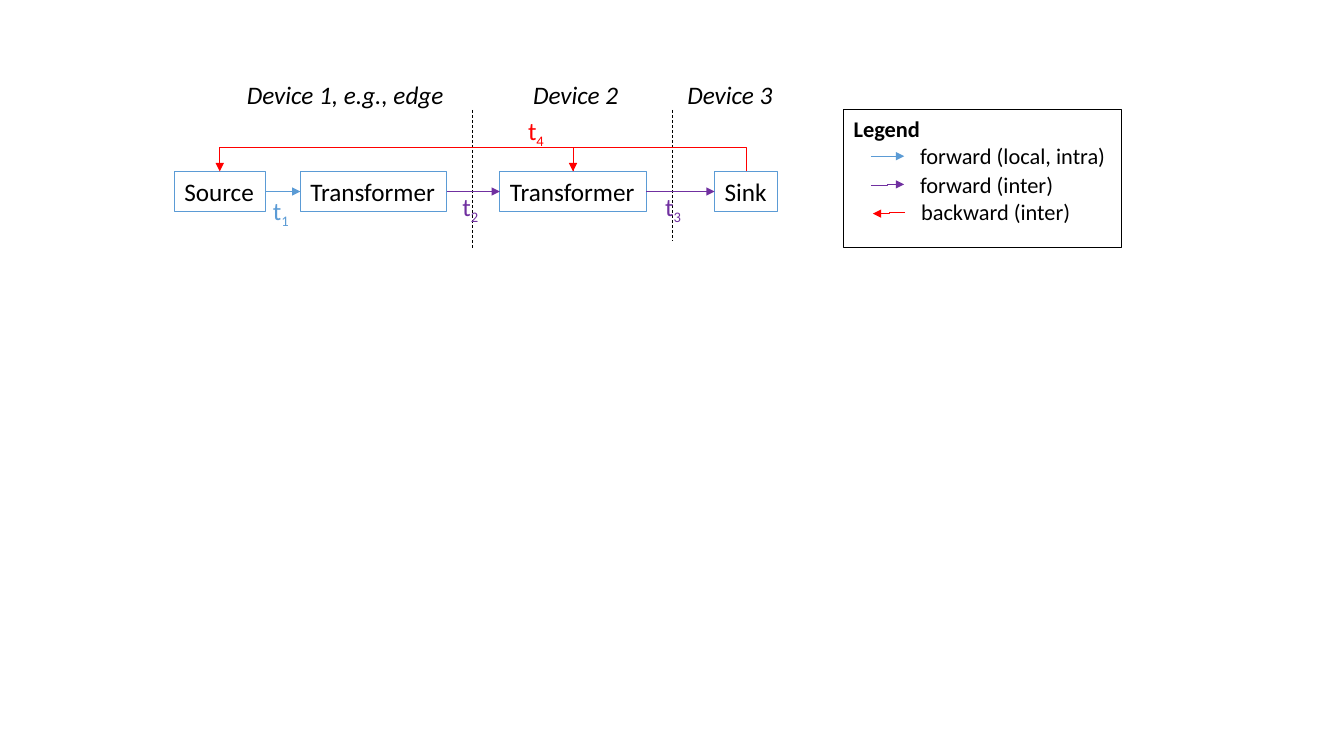
from dataclasses import dataclass
from itertools import pairwise

from lxml import etree
from pptx import Presentation
from pptx.dml.color import RGBColor
from pptx.enum.dml import MSO_LINE
from pptx.enum.shapes import MSO_CONNECTOR, MSO_SHAPE
from pptx.enum.text import MSO_ANCHOR, MSO_AUTO_SIZE, PP_ALIGN
from pptx.oxml.ns import qn
from pptx.util import Inches, Pt

BLACK = RGBColor(0x00, 0x00, 0x00)
BLUE = RGBColor(0x5B, 0x9B, 0xD5)
PURPLE = RGBColor(0x70, 0x30, 0xA0)
RED = RGBColor(0xFF, 0x00, 0x00)

RECTANGLE = MSO_SHAPE.RECTANGLE
STRAIGHT, ELBOW = MSO_CONNECTOR.STRAIGHT, MSO_CONNECTOR.ELBOW
DASH = MSO_LINE.DASH
LEFT, TOP = PP_ALIGN.LEFT, MSO_ANCHOR.TOP
FIT_SHAPE, NO_FIT = MSO_AUTO_SIZE.SHAPE_TO_FIT_TEXT, MSO_AUTO_SIZE.NONE

FONT = "Calibri"
BLANK_LAYOUT = 6
CELL = Inches(0.1)  # one column or row of the square grid
COLUMNS, ROWS = 133.33, 75

STAGE_TOP, STAGE_HEIGHT = 17, 4
FLOW_ROW = STAGE_TOP + STAGE_HEIGHT / 2
FEEDBACK_ROW = 14.6
DEVICE_TOP, DIVIDER_TOP = 7.4, 10.9
LABEL_HEIGHT, LEGEND_LABEL_HEIGHT = 4, 3.7


@dataclass(frozen=True)
class Stage:
    name: str
    left: float
    width: float

    @property
    def right(self) -> float:
        return self.left + self.width

    @property
    def center(self) -> float:
        return self.left + self.width / 2


@dataclass(frozen=True)
class Label:
    text: str
    left: float
    top: float
    width: float
    color: RGBColor = BLACK
    subscript: str = ""


@dataclass(frozen=True)
class LegendEntry:
    label: Label
    start: tuple[float, float]
    end: tuple[float, float]
    color: RGBColor


STAGES = [
    Stage("Source", 17.3, 9),
    Stage("Transformer", 29.8, 14.5),
    Stage("Transformer", 49.6, 14.5),
    Stage("Sink", 70.9, 6.2),
]
FORWARD_COLORS = [BLUE, PURPLE, PURPLE]
FEEDBACK_STAGES = [STAGES[0], STAGES[2], STAGES[3]]
DIVIDERS = [(46.9, 24.6), (66.7, 23.8)]  # column, bottom row
DEVICES = [
    Label("Device 1, e.g., edge", 23.5, DEVICE_TOP, 21.8),
    Label("Device 2", 51.9, DEVICE_TOP, 10.6),
    Label("Device 3", 67.2, DEVICE_TOP, 10.6),
]
TIMES = [
    Label("t", 26.1, 18.9, 3.7, BLUE, "1"),
    Label("t", 44.9, 18.5, 3.7, PURPLE, "2"),
    Label("t", 65, 18.5, 3.7, PURPLE, "3"),
    Label("t", 51.4, 10.9, 3.7, RED, "4"),
]
LEGEND = [
    LegendEntry(Label("forward (local, intra)", 90.3, 13.6, 20.6),
                (86.4, 15.5), (89.7, 15.5), BLUE),
    LegendEntry(Label("forward (inter)", 90.3, 16.5, 15.4),
                (86.4, 18.4), (89.7, 18.3), PURPLE),
    LegendEntry(Label("backward (inter)", 90.4, 19.2, 17),
                (89.8, 21.1), (86.6, 21.2), RED),
]


def grid(*cells: float) -> list[int]:
    return [round(cell * CELL) for cell in cells]


def write_text(shape, text: str, *, size: float = 18, color: RGBColor = BLACK,
               bold: bool = False, italic: bool = False, subscript: str = "",
               fit: bool = True) -> None:
    frame = shape.text_frame
    frame.word_wrap = not fit
    frame.auto_size = FIT_SHAPE if fit else NO_FIT
    frame.vertical_anchor = TOP
    paragraph = frame.paragraphs[0]
    paragraph.alignment = LEFT
    for content in filter(None, (text, subscript)):
        run = paragraph.add_run()
        run.text = content
        run.font.name, run.font.size = FONT, Pt(size)
        run.font.bold, run.font.italic = bold, italic
        run.font.color.rgb = color
    if subscript:
        run.font._element.set("baseline", "-25000")


def add_label(slide, label: Label, height: float = LABEL_HEIGHT, **text_format) -> None:
    box = slide.shapes.add_textbox(*grid(label.left, label.top, label.width, height))
    write_text(box, label.text, color=label.color, subscript=label.subscript, **text_format)


def add_box(slide, left: float, top: float, width: float, height: float,
            line_color: RGBColor):
    box = slide.shapes.add_shape(RECTANGLE, *grid(left, top, width, height))
    box.shadow.inherit = False
    box.fill.background()
    box.line.color.rgb, box.line.width = line_color, Pt(0.75)
    return box


def style_line(line, color: RGBColor, arrow: bool) -> None:
    line.color.rgb, line.width = color, Pt(0.5)
    if arrow:
        etree.SubElement(line._get_or_add_ln(), qn("a:tailEnd"), type="triangle")


def add_line(slide, kind, start: tuple[float, float], end: tuple[float, float],
             color: RGBColor, arrow: bool = True):
    connector = slide.shapes.add_connector(kind, *grid(*start, *end))
    style_line(connector.line, color, arrow)
    etree.SubElement(connector._element.spPr, qn("a:effectLst"))
    return connector


def add_feedback(slide, target: Stage, origin: Stage) -> None:
    """Draw an arrow that rises from origin and drops onto target."""
    corners = [(origin.center, FEEDBACK_ROW), (target.center, FEEDBACK_ROW),
               (target.center, STAGE_TOP)]
    builder = slide.shapes.build_freeform(*grid(origin.center, STAGE_TOP))
    builder.add_line_segments([grid(*corner) for corner in corners], close=False)
    shape = builder.convert_to_shape()
    shape.shadow.inherit = False
    shape.fill.background()
    style_line(shape.line, RED, arrow=True)


def add_pipeline(slide) -> None:
    for stage in STAGES:
        box = add_box(slide, stage.left, STAGE_TOP, stage.width, STAGE_HEIGHT, BLUE)
        write_text(box, stage.name)
    for column, bottom in DIVIDERS:
        divider = add_line(slide, STRAIGHT, (column, DIVIDER_TOP), (column, bottom),
                           BLACK, arrow=False)
        divider.line.dash_style = DASH
    for (origin, target), color in zip(pairwise(STAGES), FORWARD_COLORS):
        add_line(slide, ELBOW, (origin.right, FLOW_ROW), (target.left, FLOW_ROW), color)
    for target, origin in pairwise(FEEDBACK_STAGES):
        add_feedback(slide, target, origin)
    for time in TIMES:
        add_label(slide, time)
    for device in DEVICES:
        add_label(slide, device, italic=True)


def add_legend(slide) -> None:
    frame = add_box(slide, 83.7, DIVIDER_TOP, 27.6, 13.7, BLACK)
    write_text(frame, "Legend", size=16, bold=True, fit=False)
    for entry in LEGEND:
        add_line(slide, ELBOW, entry.start, entry.end, entry.color)
        add_label(slide, entry.label, LEGEND_LABEL_HEIGHT, size=16)


def main() -> None:
    presentation = Presentation()
    presentation.slide_width, presentation.slide_height = grid(COLUMNS, ROWS)
    slide = presentation.slides.add_slide(presentation.slide_layouts[BLANK_LAYOUT])
    add_pipeline(slide)
    add_legend(slide)
    presentation.save("out.pptx")


if __name__ == "__main__":
    main()
